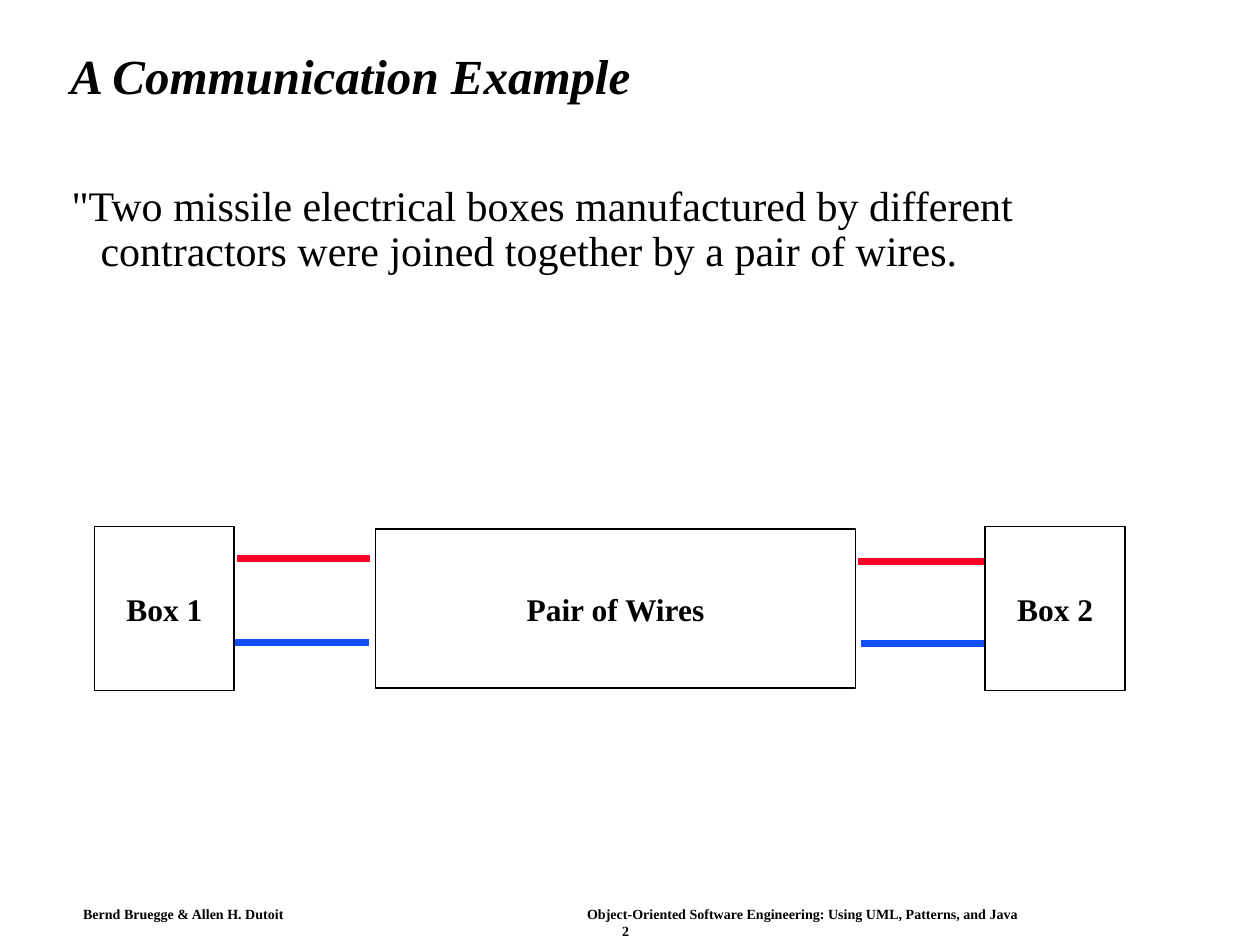
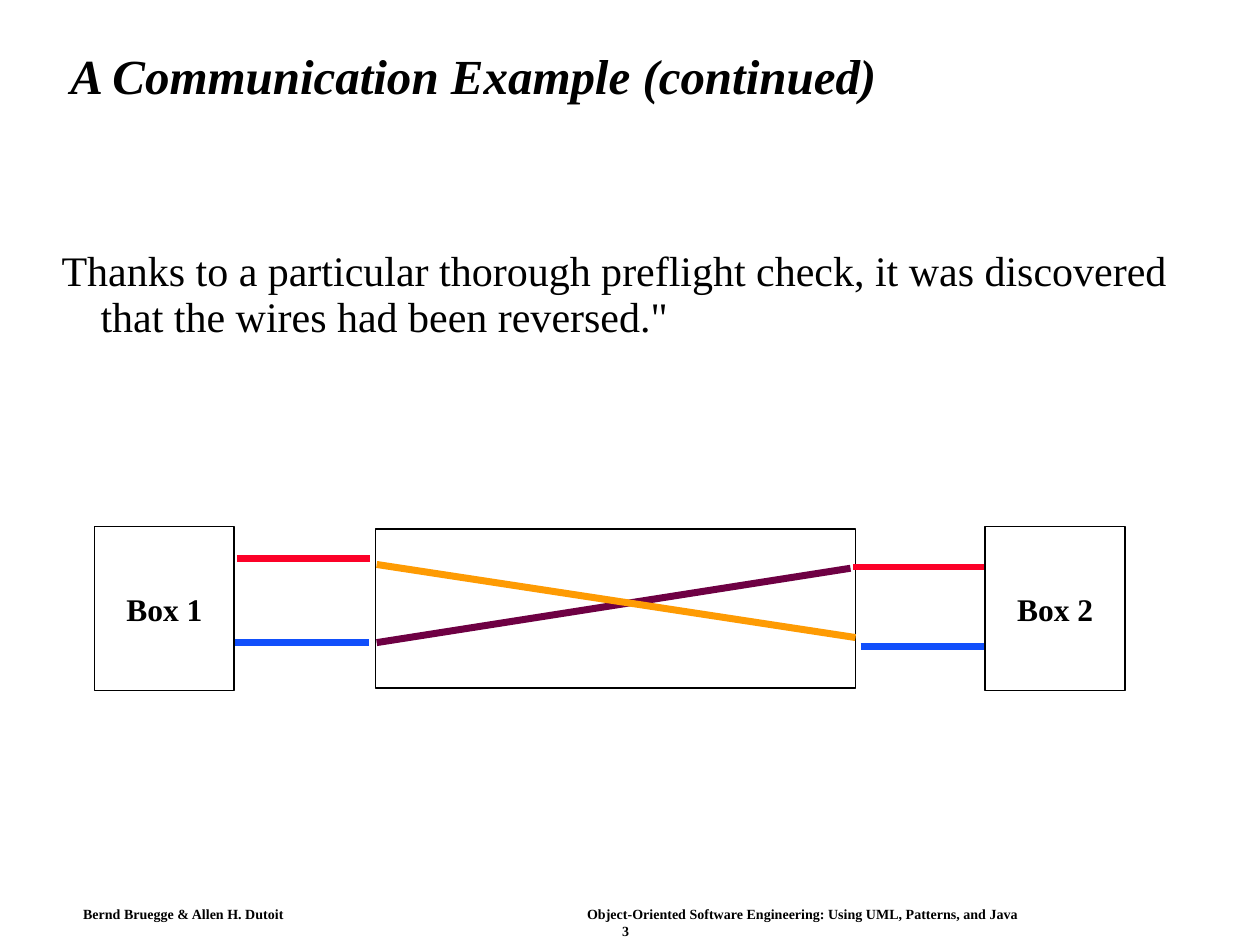
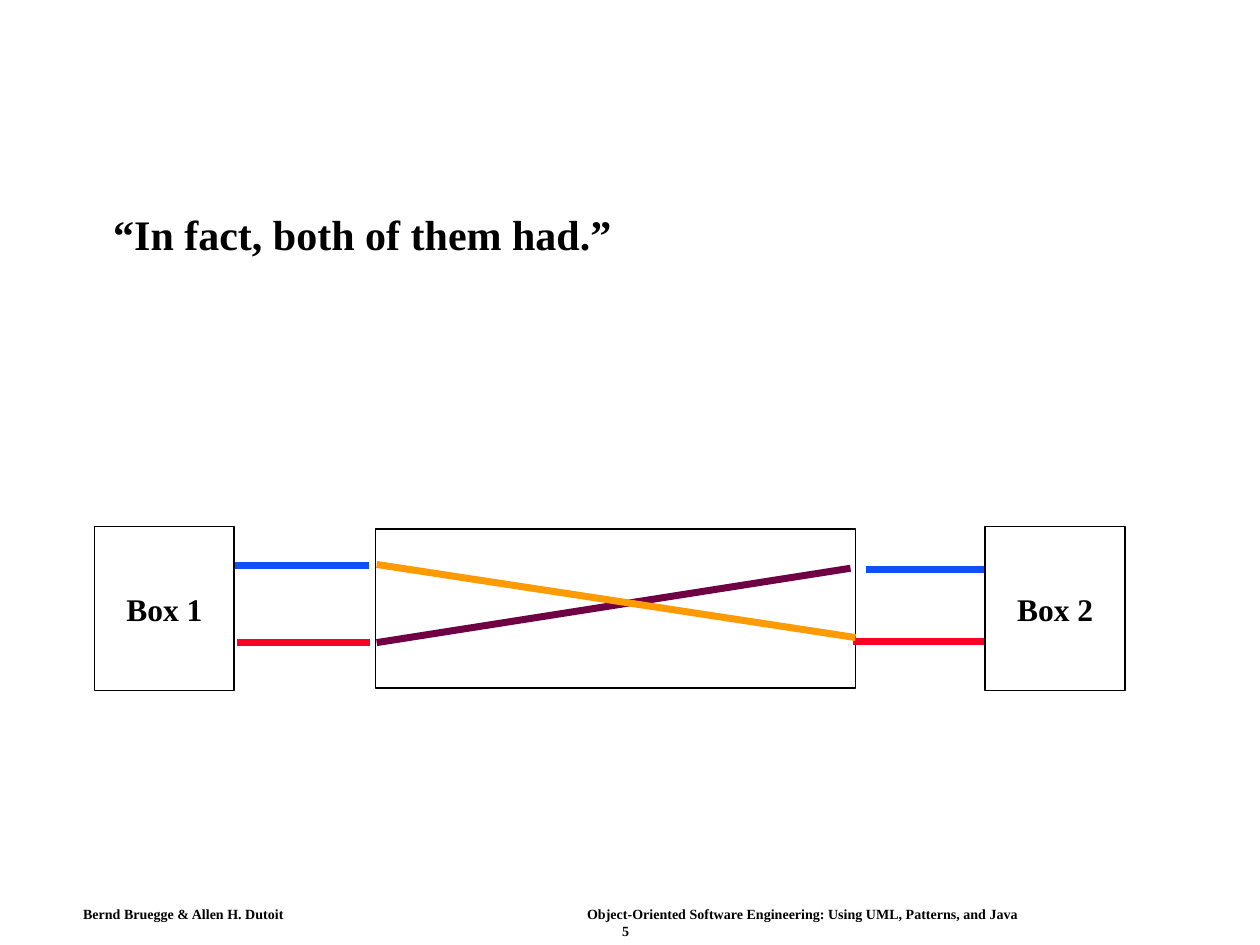
"""Build three slides that tell the story of two boxes joined by a pair of wires."""
from dataclasses import dataclass

from lxml import etree
from pptx import Presentation
from pptx.dml.color import RGBColor
from pptx.enum.shapes import MSO_CONNECTOR, MSO_SHAPE
from pptx.enum.text import MSO_ANCHOR, PP_ALIGN
from pptx.oxml.ns import qn
from pptx.util import Inches, Pt

RECTANGLE = MSO_SHAPE.RECTANGLE
STRAIGHT = MSO_CONNECTOR.STRAIGHT
MIDDLE, TOP = MSO_ANCHOR.MIDDLE, MSO_ANCHOR.TOP
LEFT, CENTER = PP_ALIGN.LEFT, PP_ALIGN.CENTER


@dataclass(frozen=True)
class Theme:
    font: str = "Times New Roman"
    ink: str = "000000"
    paper: str = "FFFFFF"
    red: str = "FC0128"
    blue: str = "114FFB"
    plum: str = "6E0043"
    orange: str = "FE9B03"
    title_size: int = 28
    quote_size: int = 24
    label_size: int = 18
    footer_size: int = 8
    outline: int = 1
    wire: int = 4


theme = Theme()

AUTHORS = "Bernd Bruegge & Allen H. Dutoit"
BOOK = "Object-Oriented Software Engineering: Using UML, Patterns, and Java"
BOX_TOP, BOX_WIDTH, BOX_HEIGHT = 4.18, 1.11, 1.3
END_BOXES = [("Box 1", 0.75), ("Box 2", 7.82)]
CROSSED = [
    (theme.plum, 2.99, 5.1, 6.75, 4.51),
    (theme.orange, 2.99, 4.48, 6.79, 5.06),
]
STORY = [
    {
        "number": "2",
        "title": "A Communication Example",
        "quote": '"Two missile electrical boxes manufactured by different '
                 "contractors were joined together by a pair of wires.",
        "quote_at": (0.39, 1.42), "first_indent": -0.23, "bold": False,
        "middle": "Pair of Wires",
        "wires": [
            (theme.red, 1.88, 4.43, 2.94, 4.43),
            (theme.blue, 1.83, 5.1, 2.93, 5.1),
            (theme.blue, 6.83, 5.11, 7.83, 5.11),
            (theme.red, 6.81, 4.46, 7.89, 4.46),
        ],
    },
    {
        "number": "3",
        "title": "A Communication Example (continued)",
        "quote": "Thanks to a particular thorough preflight check, it was "
                 'discovered that the wires had been reversed."',
        "quote_at": (0.39, 1.94), "first_indent": -0.31, "bold": False,
        "middle": "",
        "wires": [
            (theme.red, 1.88, 4.43, 2.94, 4.43),
            (theme.blue, 1.83, 5.1, 2.93, 5.1),
            (theme.blue, 6.83, 5.13, 7.83, 5.13),
            (theme.red, 6.77, 4.5, 7.85, 4.5),
        ] + CROSSED,
    },
    {
        "number": "5",
        "title": "",
        "quote": "“In fact, both of them had.”",
        "quote_at": (0.49, 1.65), "first_indent": 0, "bold": True,
        "middle": "",
        "wires": [
            (theme.red, 1.88, 5.1, 2.94, 5.1),
            (theme.blue, 1.83, 4.49, 2.93, 4.49),
            (theme.blue, 6.87, 4.52, 7.87, 4.52),
            (theme.red, 6.77, 5.09, 7.85, 5.09),
        ] + CROSSED,
    },
]


def write(paragraph, text, size, bold=True, italic=False, align=LEFT):
    paragraph.alignment = align
    run = paragraph.add_run()
    run.text = text
    run.font.name = theme.font
    run.font.size = Pt(size)
    run.font.bold = bold
    run.font.italic = italic
    run.font.color.rgb = RGBColor.from_string(theme.ink)
    return paragraph


def add_frame(slide, left, top, width, height, anchor=TOP, boxed=False):
    place = [Inches(length) for length in (left, top, width, height)]
    if boxed:
        holder = slide.shapes.add_shape(RECTANGLE, *place)
        holder.shadow.inherit = False
        holder.fill.solid()
        holder.fill.fore_color.rgb = RGBColor.from_string(theme.paper)
        holder.line.color.rgb = RGBColor.from_string(theme.ink)
        holder.line.width = Pt(theme.outline)
    else:
        holder = slide.shapes.add_textbox(*place)
    frame = holder.text_frame
    frame.word_wrap = not boxed
    frame.vertical_anchor = anchor
    return frame


deck = Presentation()
deck.slide_width, deck.slide_height = Inches(10), Inches(7.5)

for scene in STORY:
    slide = deck.slides.add_slide(deck.slide_layouts[6])

    footer = add_frame(slide, 0.58, 7.15, 8.77, 0.34)
    footer.margin_left = footer.margin_right = Inches(0.08)
    footer.margin_top = footer.margin_bottom = Inches(0.04)
    credit = write(footer.paragraphs[0], f"{AUTHORS}\t{BOOK}", theme.footer_size)
    tabs = etree.Element(qn("a:tabLst"))
    etree.SubElement(tabs, qn("a:tab"), pos=str(Inches(4)), algn="l")
    credit._p.get_or_add_pPr().append(tabs)
    write(footer.add_paragraph(), scene["number"], theme.footer_size, align=CENTER)

    if scene["title"]:
        title = add_frame(slide, 0.46, 0.24, 8.92, 0.77, MIDDLE)
        heading = write(title.paragraphs[0], scene["title"], theme.title_size, italic=True)
        heading.line_spacing = 0.9

    quote = add_frame(slide, *scene["quote_at"], 9.03, 1.39)
    saying = write(quote.paragraphs[0], scene["quote"], theme.quote_size, scene["bold"])
    saying.line_spacing = 0.9
    indents = saying._p.get_or_add_pPr()
    indents.set("marL", str(Inches(0.31)))
    indents.set("indent", str(Inches(scene["first_indent"])))

    middle = add_frame(slide, 2.98, 4.2, 3.81, 1.26, MIDDLE, boxed=True)
    if scene["middle"]:
        write(middle.paragraphs[0], scene["middle"], theme.label_size, align=CENTER)

    for color, *ends in scene["wires"]:
        wire = slide.shapes.add_connector(STRAIGHT, *[Inches(end) for end in ends])
        wire.line.color.rgb = RGBColor.from_string(color)
        wire.line.width = Pt(theme.wire)
        etree.SubElement(wire._element.spPr, qn("a:effectLst"))

    for label, left in END_BOXES:
        box = add_frame(slide, left, BOX_TOP, BOX_WIDTH, BOX_HEIGHT, MIDDLE, boxed=True)
        write(box.paragraphs[0], label, theme.label_size, align=CENTER)

deck.save("out.pptx")
